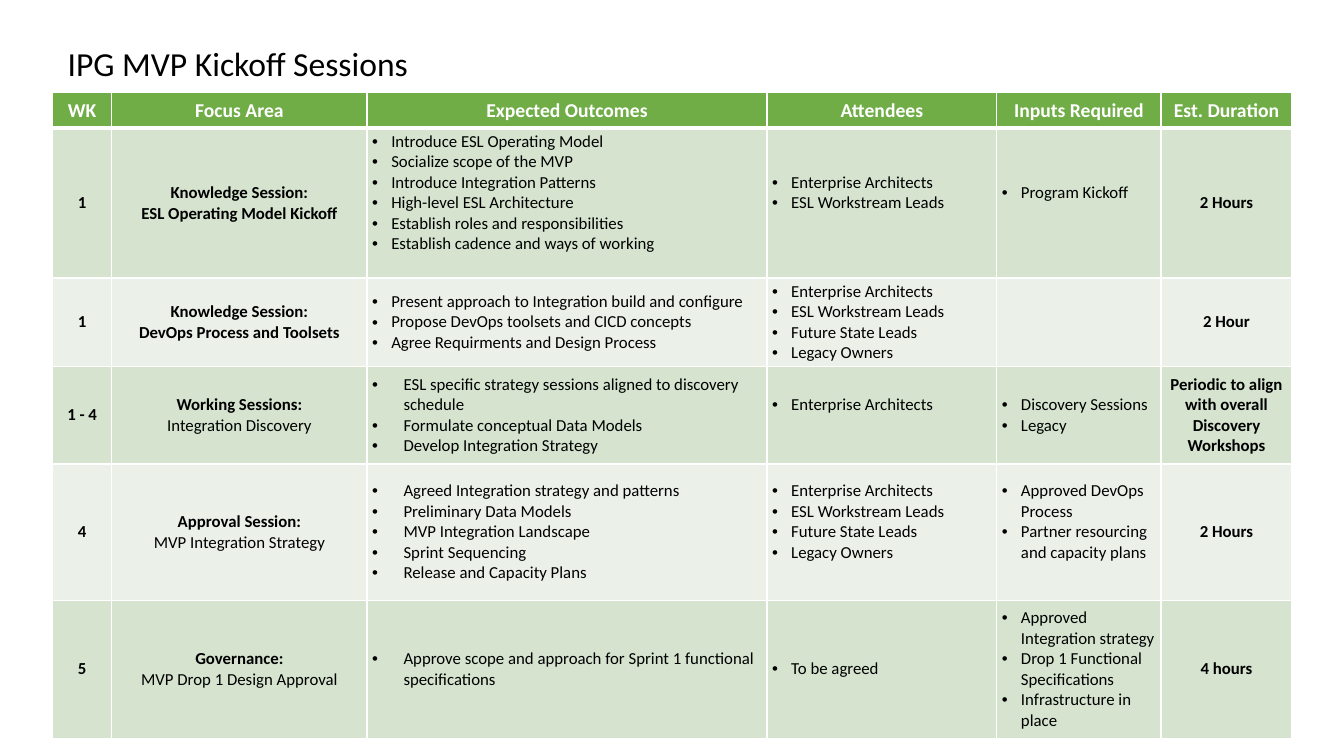
from dataclasses import dataclass

from lxml.etree import SubElement
from pptx import Presentation
from pptx.dml.color import RGBColor
from pptx.enum.text import MSO_ANCHOR, PP_ALIGN
from pptx.oxml.ns import qn
from pptx.util import Cm, Pt


@dataclass(frozen=True)
class Theme:
    font: str = "Calibri"
    ink: str = "000000"
    white: str = "FFFFFF"
    header: str = "70AD47"
    bands: tuple = ("D5E3CF", "EBF1E9")
    title_size: int = 24
    header_size: int = 14
    body_size: int = 12
    thin: int = 1
    thick: int = 3


@dataclass(frozen=True)
class Bullets:
    """A bulleted cell; lift is extra space in cm kept free below the text."""
    items: tuple
    indent: float = 0.48
    lift: float = 0


WIDE_INDENT = 0.79
ONE_LINE = 0.52

COLUMNS = {"WK": 1.5, "Focus Area": 6.43, "Expected Outcomes": 10.08,
           "Attendees": 5.79, "Inputs Required": 4.14, "Est. Duration": 3.3}
HEADER_HEIGHT = 0.89
ARCHITECTS = "Enterprise Architects"
WORKSTREAMS = "ESL Workstream Leads"
ALL_LEADS = (ARCHITECTS, WORKSTREAMS, "Future State Leads", "Legacy Owners")

# Row height, then week, (focus heading, focus topic, topic is bold),
# outcomes, attendees, inputs and duration
SESSIONS = [
    (3.35, "1", ("Knowledge Session:", "ESL Operating Model Kickoff", True),
     Bullets(("Introduce ESL Operating Model", "Socialize scope of the MVP",
              "Introduce Integration Patterns", "High-level ESL Architecture",
              "Establish roles and responsibilities",
              "Establish cadence and ways of working"), lift=ONE_LINE),
     Bullets((ARCHITECTS, WORKSTREAMS), lift=ONE_LINE),
     Bullets(("Program Kickoff",), lift=ONE_LINE), "2 Hours"),
    (2.01, "1", ("Knowledge Session:", "DevOps Process and Toolsets", True),
     Bullets(("Present approach to Integration build and configure",
              "Propose DevOps toolsets and CICD concepts",
              "Agree Requirments and Design Process")),
     Bullets(ALL_LEADS), Bullets(()), "2 Hour"),
    (2.46, "1 - 4", ("Working Sessions:", "Integration Discovery", False),
     Bullets(("ESL specific strategy sessions aligned to discovery schedule",
              "Formulate conceptual Data Models",
              "Develop Integration Strategy"), WIDE_INDENT),
     Bullets((ARCHITECTS,), lift=ONE_LINE),
     Bullets(("Discovery Sessions", "Legacy")),
     "Periodic to align with overall Discovery Workshops"),
    (3.43, "4", ("Approval Session:", "MVP Integration Strategy", False),
     Bullets(("Agreed Integration strategy and patterns",
              "Preliminary Data Models", "MVP Integration Landscape",
              "Sprint Sequencing", "Release and Capacity Plans"), WIDE_INDENT),
     Bullets(ALL_LEADS, lift=ONE_LINE),
     Bullets(("Approved DevOps Process",
              "Partner resourcing and capacity plans"), lift=ONE_LINE),
     "2 Hours"),
    (3.48, "5", ("Governance:", "MVP Drop 1 Design Approval", False),
     Bullets(("Approve scope and approach for Sprint 1 functional specifications",),
             WIDE_INDENT),
     Bullets(("To be agreed",)),
     Bullets(("Approved Integration strategy",
              "Drop 1 Functional Specifications", "Infrastructure in place")),
     "4 hours"),
]


def apply_format(target, values):
    for attribute, value in values.items():
        setattr(target, attribute, value)


class SlideBuilder:
    def __init__(self, presentation, theme):
        self.theme = theme
        self.slide = presentation.slides.add_slide(presentation.slide_layouts[5])

    def add_text(self, paragraph, text, size, color, bold=False):
        run = paragraph.add_run()
        run.text = text
        apply_format(run.font, {"name": self.theme.font, "size": Pt(size), "bold": bold})
        run.font.color.rgb = RGBColor.from_string(color)

    def title(self, text):
        title = self.slide.shapes.title
        apply_format(title, {"left": Cm(1.45), "top": Cm(0.99),
                             "width": Cm(31.22), "height": Cm(1.35)})
        apply_format(title.text_frame, {"vertical_anchor": MSO_ANCHOR.MIDDLE,
                                        "word_wrap": True})
        paragraph = title.text_frame.paragraphs[0]
        apply_format(paragraph, {"alignment": PP_ALIGN.LEFT, "line_spacing": 0.9})
        self.add_text(paragraph, text, self.theme.title_size, self.theme.ink)

    def borders(self, cell, top, bottom):
        properties = cell._tc.get_or_add_tcPr()
        thin = self.theme.thin
        for side, width in {"L": thin, "R": thin, "T": top, "B": bottom}.items():
            line = SubElement(properties, qn(f"a:ln{side}"), w=str(Pt(width)))
            fill = SubElement(line, qn("a:solidFill"))
            SubElement(fill, qn("a:srgbClr"), val=self.theme.white)

    def dress(self, cell, fill, top, bottom):
        """Set a cell's borders, fill and anchor."""
        self.borders(cell, top, bottom)
        cell.fill.solid()
        cell.fill.fore_color.rgb = RGBColor.from_string(fill)
        cell.vertical_anchor = MSO_ANCHOR.MIDDLE

    def paragraphs(self, cell, count):
        """Yield the cell's paragraphs, adding them as needed."""
        frame = cell.text_frame
        for index in range(count):
            yield frame.add_paragraph() if index else frame.paragraphs[0]

    def centred(self, cell, lines, size, color):
        """Put (text, bold) lines in a cell as centred paragraphs."""
        for paragraph, (text, bold) in zip(self.paragraphs(cell, len(lines)), lines):
            paragraph.alignment = PP_ALIGN.CENTER
            self.add_text(paragraph, text, size, color, bold)

    def bulleted(self, cell, bullets):
        cell.margin_bottom += Cm(bullets.lift)
        items = bullets.items
        for paragraph, item in zip(self.paragraphs(cell, len(items)), items):
            properties = paragraph._p.get_or_add_pPr()
            indent = Cm(bullets.indent)
            properties.set("marL", str(indent))
            properties.set("indent", str(-indent))
            SubElement(properties, qn("a:buFont"), typeface="Arial")
            SubElement(properties, qn("a:buChar"), char="•")
            self.add_text(paragraph, item, self.theme.body_size, self.theme.ink)

    def session_row(self, cells, contents, fill, top):
        theme = self.theme
        for cell, content in zip(cells, contents):
            self.dress(cell, fill, top, theme.thin)
            apply_format(cell, {"margin_left": Cm(0.13), "margin_right": Cm(0.13),
                                "margin_top": Cm(0.08), "margin_bottom": Cm(0.08)})
            if isinstance(content, Bullets):
                self.bulleted(cell, content)
                continue
            if isinstance(content, tuple):
                heading, topic, topic_bold = content
                lines = [(heading, True), (topic, topic_bold)]
            else:
                lines = [(content, True)]
            self.centred(cell, lines, theme.body_size, theme.ink)

    def schedule(self, columns, sessions):
        theme = self.theme
        heights = [HEADER_HEIGHT] + [session[0] for session in sessions]
        schedule = self.slide.shapes.add_table(
            len(heights), len(columns), Cm(1.32), Cm(2.34),
            Cm(sum(columns.values())), Cm(sum(heights))).table
        for column, width in zip(schedule.columns, columns.values()):
            column.width = Cm(width)
        for row, height in zip(schedule.rows, heights):
            row.height = Cm(height)
        header, *body = schedule.rows
        for cell, heading in zip(header.cells, columns):
            self.dress(cell, theme.header, theme.thin, theme.thick)
            self.centred(cell, [(heading, True)], theme.header_size, theme.white)
        for index, (row, session) in enumerate(zip(body, sessions)):
            self.session_row(row.cells, session[1:], theme.bands[index % 2],
                             theme.thin if index else theme.thick)


def main():
    presentation = Presentation()
    apply_format(presentation, {"slide_width": Cm(33.87), "slide_height": Cm(19.05)})
    builder = SlideBuilder(presentation, Theme())
    builder.schedule(COLUMNS, SESSIONS)
    builder.title("IPG MVP Kickoff Sessions")
    presentation.save("out.pptx")


if __name__ == "__main__":
    main()
